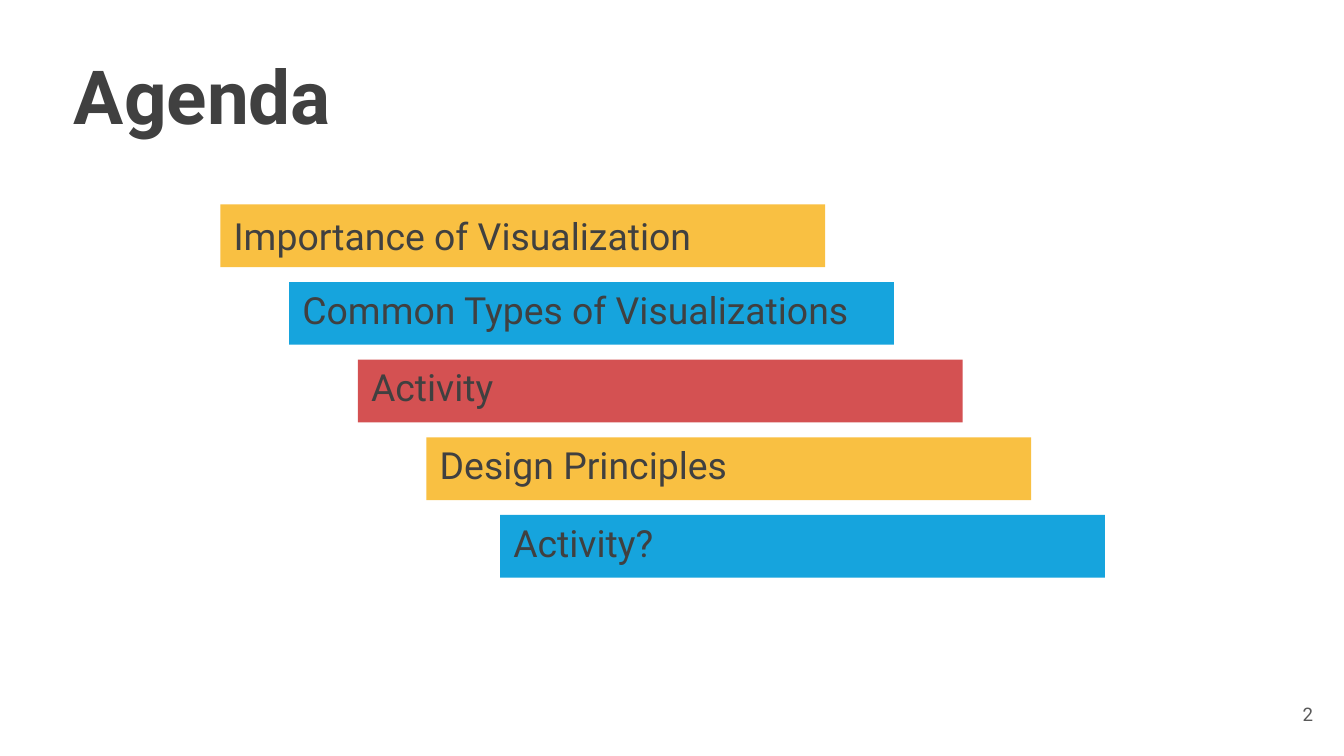
import dataclasses

import pptx
import pptx.dml.color
import pptx.enum.shapes
import pptx.enum.text
import pptx.util

Pt = pptx.util.Pt
Align = pptx.enum.text.PP_ALIGN
Anchor = pptx.enum.text.MSO_ANCHOR

FONT = "Roboto"
DARK, GREY = "404040", "595959"
YELLOW, BLUE, RED = "F9C042", "16A4DD", "D45152"

# Staircase of agenda bars, in points
BAR_LEFT, BAR_TOP = 118.1, 109.5
BAR_WIDTH, BAR_HEIGHT = 324, 33.6
STEP_RIGHT, STEP_DOWN = 36.8, 41.6


@dataclasses.dataclass
class AgendaItem:
    text: str
    fill: str
    line_spacing: float = 0.8
    nudge: float = 0


AGENDA = [
    AgendaItem("Importance of Visualization", YELLOW, line_spacing=1),
    AgendaItem("Common Types of Visualizations", BLUE),
    AgendaItem("Activity", RED),
    AgendaItem("Design Principles", YELLOW),
    AgendaItem("Activity?", BLUE, nudge=2.6),
]


def color(code: str) -> pptx.dml.color.RGBColor:
    return pptx.dml.color.RGBColor.from_string(code)


def write_text(box, text: str, *, size: float, fill: str = DARK, bold: bool = False,
               align=Align.LEFT, anchor=Anchor.MIDDLE, line_spacing: float = 1) -> None:
    frame = box.text_frame
    frame.word_wrap = True
    frame.auto_size = pptx.enum.text.MSO_AUTO_SIZE.NONE
    frame.vertical_anchor = anchor
    frame.margin_left = frame.margin_right = Pt(7.2)
    frame.margin_top = frame.margin_bottom = Pt(7.2)
    para = frame.paragraphs[0]
    para.alignment = align
    para.line_spacing = line_spacing
    span = para.add_run()
    span.text = text
    span.font.name = FONT
    span.font.size = Pt(size)
    span.font.bold = bold
    span.font.color.rgb = color(fill)


def draw_agenda_bar(page, item: AgendaItem, index: int) -> None:
    bar = page.shapes.add_shape(
        pptx.enum.shapes.MSO_SHAPE.RECTANGLE,
        Pt(BAR_LEFT + index * STEP_RIGHT + item.nudge), Pt(BAR_TOP + index * STEP_DOWN),
        Pt(BAR_WIDTH), Pt(BAR_HEIGHT))
    bar.shadow.inherit = False
    bar.fill.solid()
    bar.fill.fore_color.rgb = color(item.fill)
    bar.line.fill.background()
    write_text(bar, item.text, size=20, line_spacing=item.line_spacing)


def main() -> None:
    deck = pptx.Presentation()
    deck.slide_width, deck.slide_height = Pt(720), Pt(405)
    page = deck.slides.add_slide(deck.slide_layouts[5])

    # Title
    title = page.shapes.title
    title.left, title.top, title.width, title.height = Pt(32.4), Pt(19.4), Pt(677.5), Pt(69.8)
    write_text(title, "Agenda", size=40, bold=True, anchor=Anchor.TOP)

    # Agenda
    for index, item in enumerate(AGENDA):
        draw_agenda_bar(page, item, index)

    # Page number
    number = page.shapes.add_textbox(Pt(667.4), Pt(367.2), Pt(43.2), Pt(31))
    write_text(number, "2", size=10, fill=GREY, align=Align.RIGHT)

    deck.save("out.pptx")


if __name__ == "__main__":
    main()
